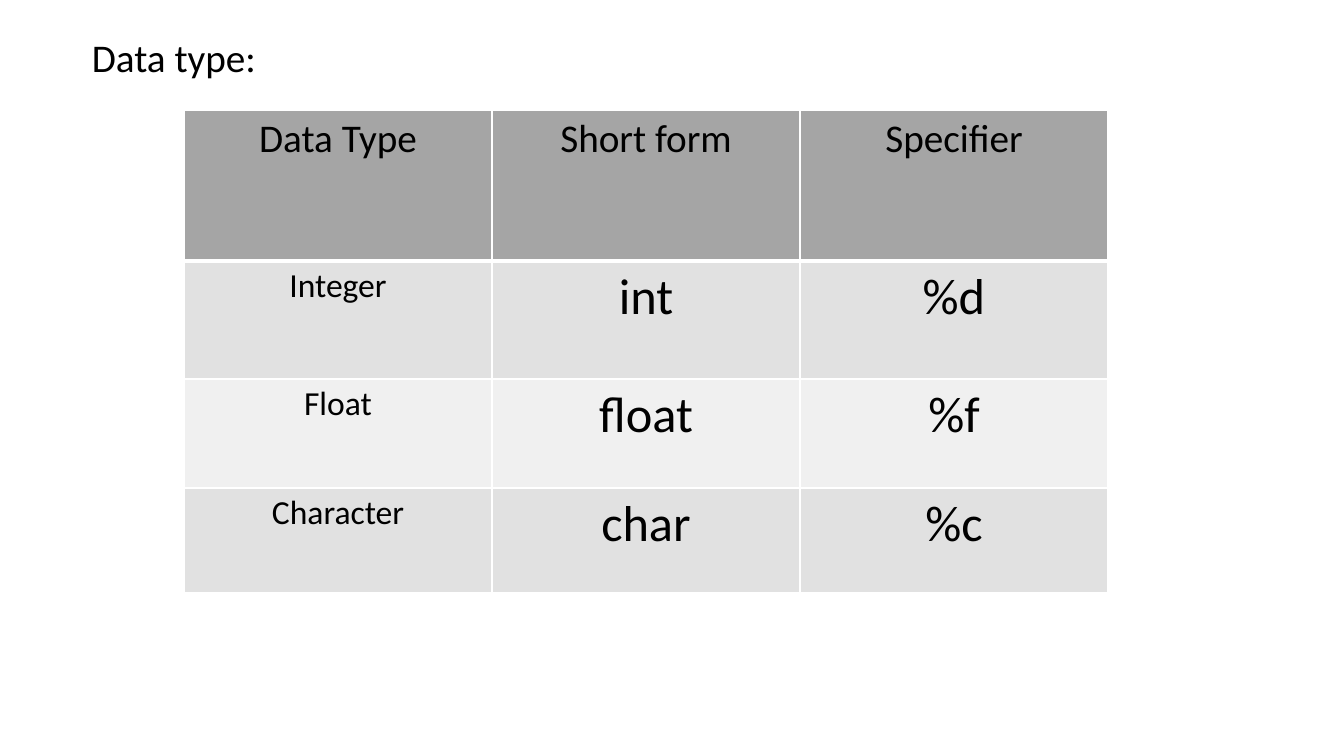
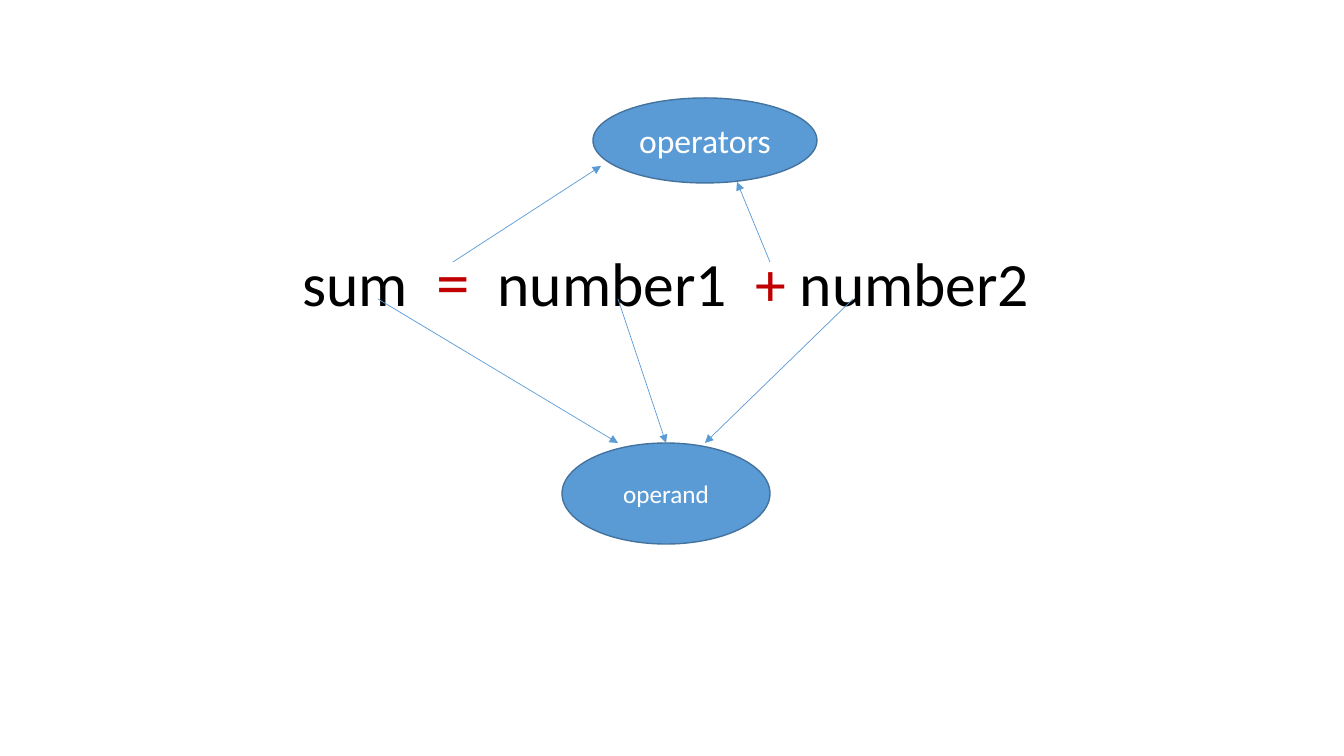
from dataclasses import dataclass

from lxml import etree
from pptx import Presentation
from pptx.dml.color import RGBColor
from pptx.enum.shapes import MSO_CONNECTOR, MSO_SHAPE
from pptx.enum.text import MSO_ANCHOR, PP_ALIGN
from pptx.oxml.ns import qn
from pptx.util import Emu, Pt

LEFT, CENTER = PP_ALIGN.LEFT, PP_ALIGN.CENTER
MIDDLE = MSO_ANCHOR.MIDDLE
OVAL = MSO_SHAPE.OVAL
STRAIGHT = MSO_CONNECTOR.STRAIGHT

HEADING = "Data type:"
HEADING_BOX = (82, 34, 1200, 60)
TABLE_ROWS = [
    ("Data Type", "Short form", "Specifier"),
    ("Integer", "int", "%d"),
    ("Float", "float", "%f"),
    ("Character", "char", "%c"),
]
TABLE_AT = (184, 110)
COL_WIDTH = 308
ROW_HEIGHTS = (151, 118, 109, 105)

EQUATION = [("sum  ", False), ("=", True), ("  number1  ", False),
            ("+", True), (" number2", False)]
EQUATION_BOX = (54, 244, 1224, 90)
OVALS = [
    ("operand", (562, 443, 208, 101), 18),
    ("operators", (593, 98, 224, 85), 24),
]
ARROWS = [
    ((453, 262), (601, 166)),
    ((770, 262), (737, 182)),
    ((618, 299), (666, 443)),
    ((853, 299), (705, 443)),
    ((378, 299), (618, 443)),
]


@dataclass(frozen=True)
class Theme:
    font: str = "Calibri"
    text: str = "000000"
    light: str = "FFFFFF"
    accent: str = "C00000"
    blue: str = "5B9BD5"
    outline: str = "43739E"
    header: str = "A5A5A5"
    bands: tuple = ("E1E1E1", "F0F0F0")
    heading_size: int = 28
    name_size: int = 24
    code_size: int = 36
    operand_size: int = 44
    operator_size: int = 48
    line_spacing: float = 0.9


T = Theme()


def px(n):
    return Emu(round(n * 914400 / 100.8))


def rgb(value):
    return RGBColor.from_string(value)


def set_font(font, size, color=T.text):
    font.name, font.size, font.bold = T.font, Pt(size), False
    font.color.rgb = rgb(color)


def write(tf, text, size, color=T.text, align=CENTER):
    p = tf.paragraphs[0]
    p.text, p.alignment = text, align
    set_font(p.font, size, color)
    return p


def add_text_box(s, box):
    tf = s.shapes.add_textbox(*map(px, box)).text_frame
    tf.word_wrap = True
    tf.paragraphs[0].line_spacing = T.line_spacing
    return tf


def set_borders(cell, row):
    tc_pr = cell._tc.get_or_add_tcPr()
    heavy = {0: "lnB", 1: "lnT"}.get(row)
    for side in ("lnL", "lnR", "lnT", "lnB"):
        width = Pt(3 if side == heavy else 1)
        ln = etree.SubElement(tc_pr, qn("a:" + side), w=str(width))
        fill = etree.SubElement(ln, qn("a:solidFill"))
        etree.SubElement(fill, qn("a:srgbClr"), val=T.light)


def add_type_table(s):
    n_cols = len(TABLE_ROWS[0])
    size = (COL_WIDTH * n_cols, sum(ROW_HEIGHTS))
    table = s.shapes.add_table(len(TABLE_ROWS), n_cols,
                               *map(px, TABLE_AT + size)).table
    table.first_row = table.horz_banding = False
    for col in table.columns:
        col.width = px(COL_WIDTH)
    for i, (texts, height) in enumerate(zip(TABLE_ROWS, ROW_HEIGHTS)):
        table.rows[i].height = px(height)
        for j, text in enumerate(texts):
            cell = table.cell(i, j)
            set_borders(cell, i)
            cell.fill.solid()
            cell.fill.fore_color.rgb = rgb(T.bands[(i - 1) % 2] if i else T.header)
            body_size = T.code_size if j else T.name_size
            write(cell.text_frame, text, body_size if i else T.heading_size)


def add_oval(s, text, box, size):
    sp = s.shapes.add_shape(OVAL, *map(px, box))
    sp.shadow.inherit = False
    sp.fill.solid()
    sp.fill.fore_color.rgb = rgb(T.blue)
    sp.line.color.rgb = rgb(T.outline)
    sp.line.width = Pt(1)
    sp.text_frame.vertical_anchor = MIDDLE
    write(sp.text_frame, text, size, T.light)


def add_arrow(s, start, end):
    cx = s.shapes.add_connector(STRAIGHT, *map(px, start + end))
    cx.line.color.rgb = rgb(T.blue)
    cx.line.width = Pt(0.5)
    etree.SubElement(cx.line._get_or_add_ln(), qn("a:tailEnd"), type="triangle")
    etree.SubElement(cx._element.spPr, qn("a:effectLst"))


prs = Presentation()
prs.slide_width, prs.slide_height = px(1344), px(756)
blank = prs.slide_layouts[6]

s = prs.slides.add_slide(blank)
write(add_text_box(s, HEADING_BOX), HEADING, T.heading_size, align=LEFT)
add_type_table(s)

s = prs.slides.add_slide(blank)
p = add_text_box(s, EQUATION_BOX).paragraphs[0]
p.alignment = CENTER
sizes = (T.operand_size, T.operator_size, T.operand_size, T.operand_size, T.operand_size)
for (text, is_operator), size in zip(EQUATION, sizes):
    r = p.add_run()
    r.text = text
    set_font(r.font, size, T.accent if is_operator else T.text)
for text, box, size in OVALS:
    add_oval(s, text, box, size)
for start, end in ARROWS:
    add_arrow(s, start, end)

prs.save("out.pptx")
